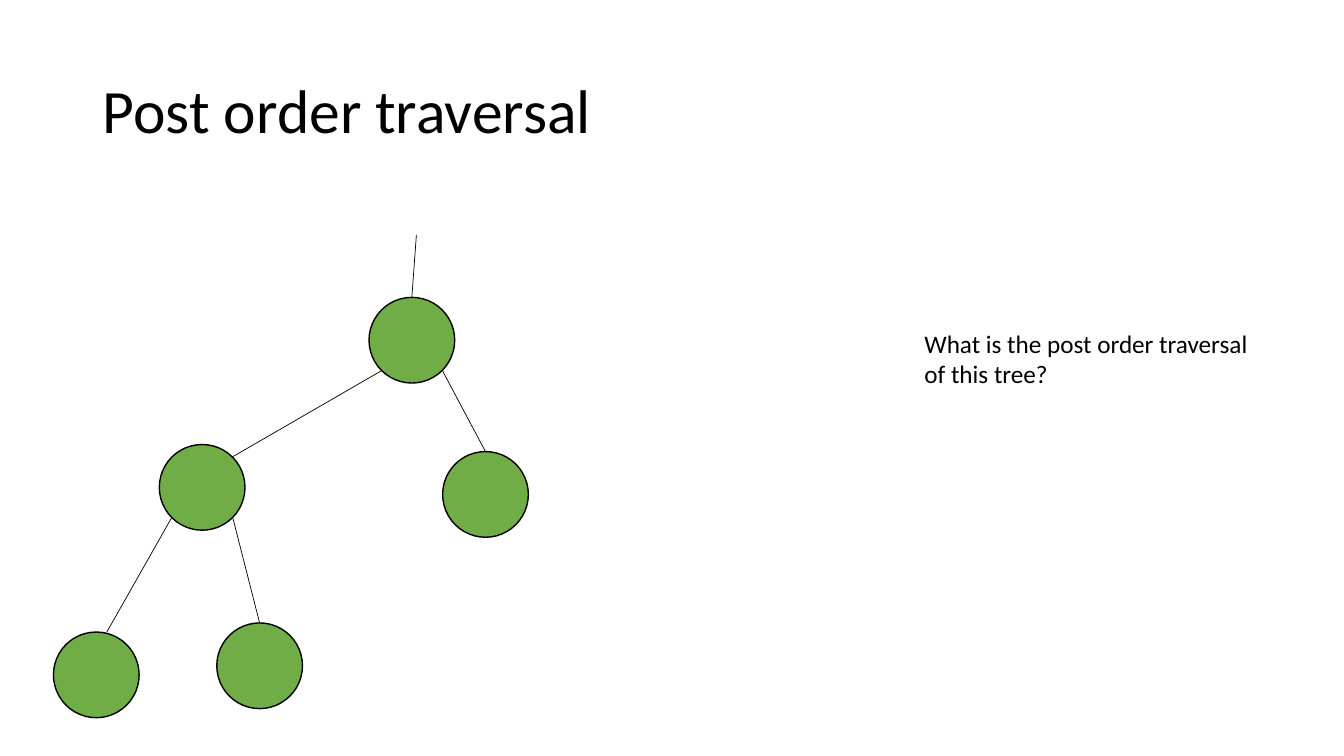
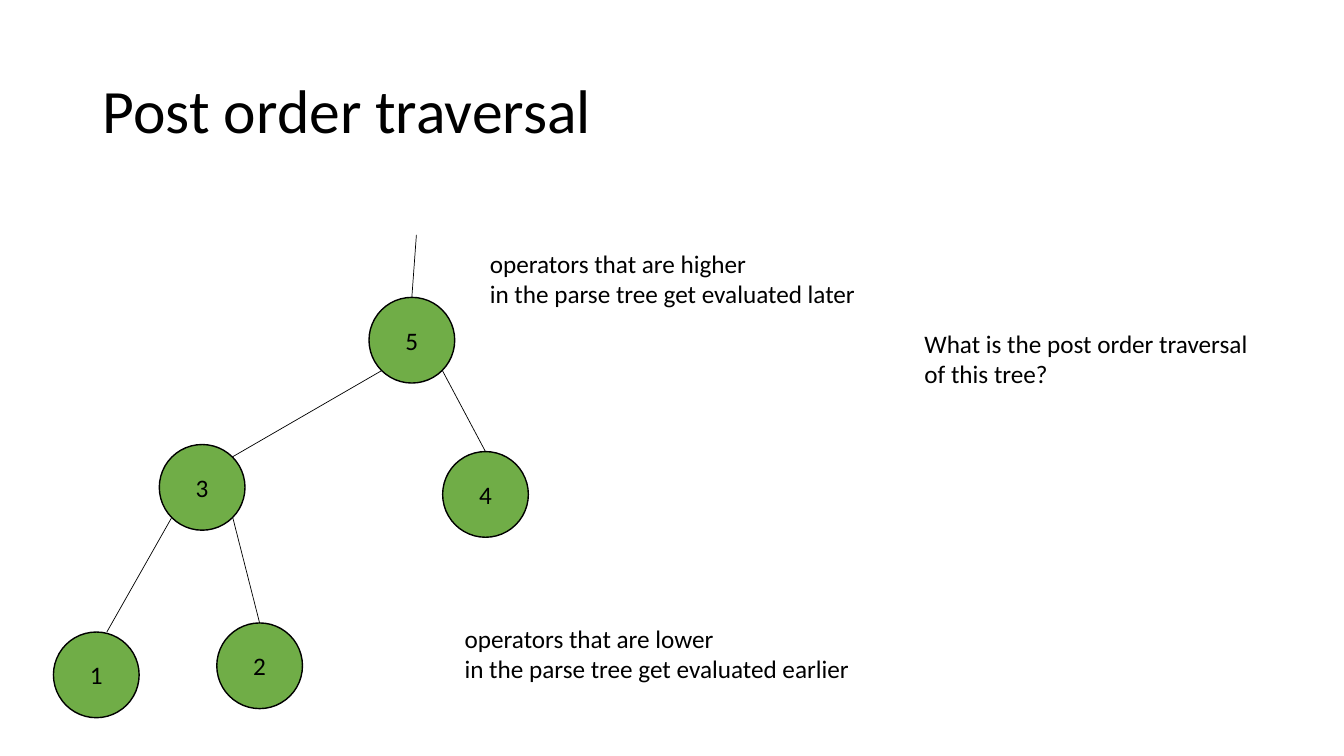
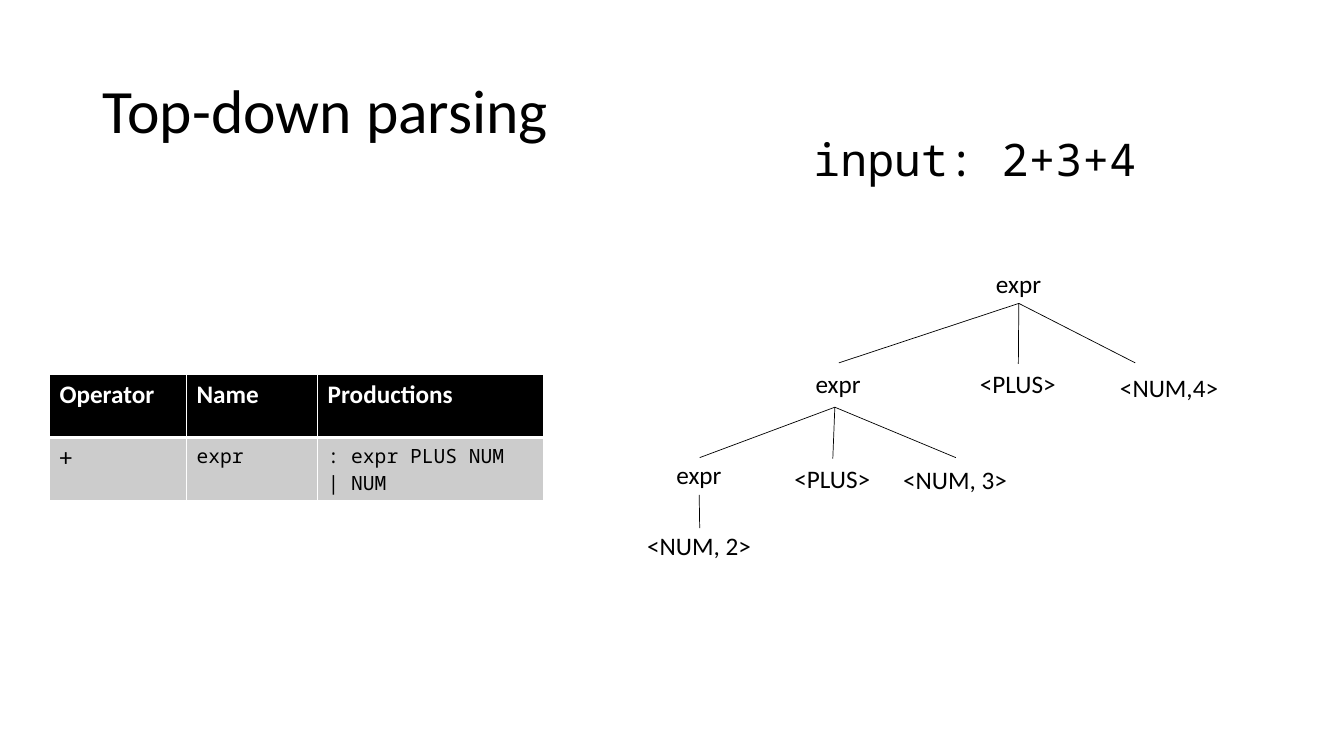
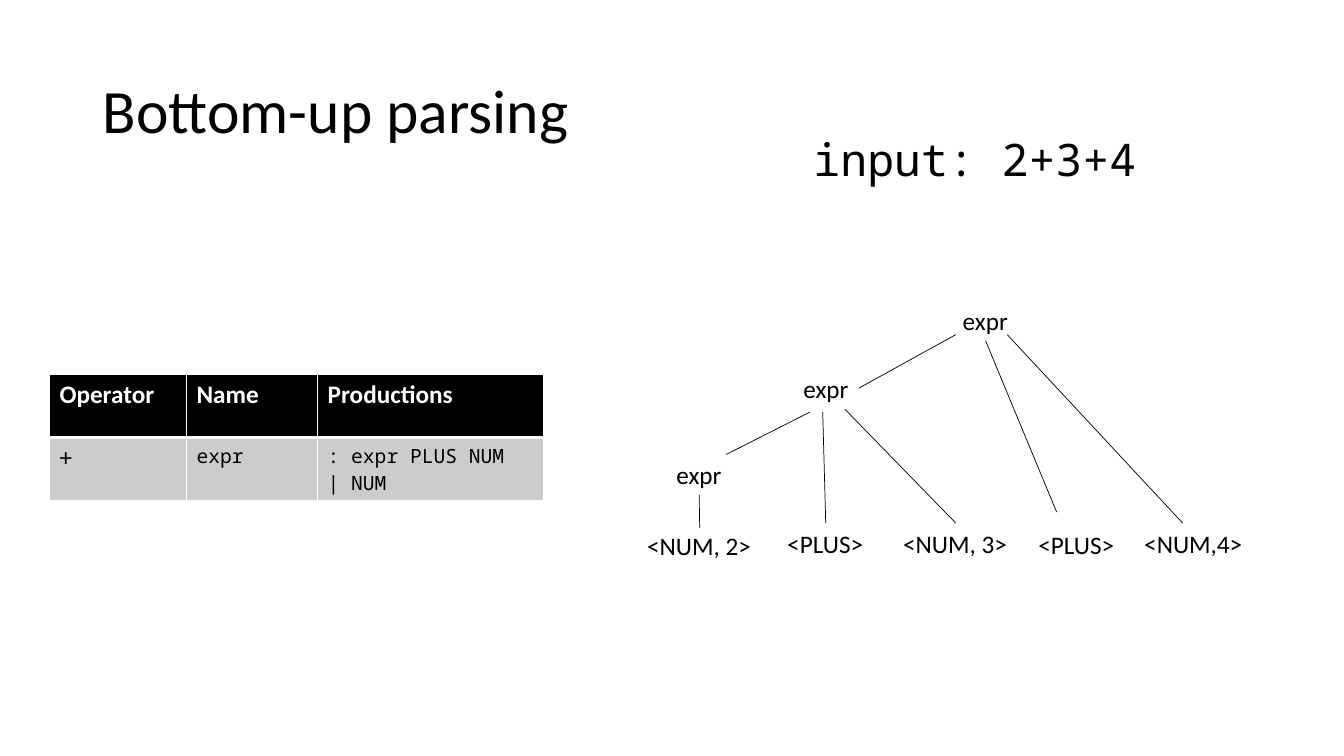
import pptx
import pptx.dml.color
import pptx.enum.shapes
import pptx.enum.text
import pptx.oxml
import pptx.oxml.ns
import pptx.util

SCALE = 9144  # EMU in one px, 100 px to the inch
HUES = {"ink": "000000", "paper": "FFFFFF", "node": "70AD47", "cell": "CCCCCC"}
LOOKS = {
    "title": {"name": "Calibri", "size": pptx.util.Pt(44)},
    "text": {"name": "Calibri", "size": pptx.util.Pt(18)},
    "head": {"name": "Calibri", "size": pptx.util.Pt(18), "bold": True},
    "plain": {"name": "Calibri", "size": pptx.util.Pt(18), "bold": False},
    "code": {"name": "Noto Sans Mono", "size": pptx.util.Pt(14), "bold": False},
    "input": {"name": "Noto Sans Mono", "size": pptx.util.Pt(32)},
}
ALIGN = pptx.enum.text.PP_ALIGN
ANCHOR = pptx.enum.text.MSO_ANCHOR
FIT = pptx.enum.text.MSO_AUTO_SIZE
TOP, LEFT, BOTTOM, RIGHT = range(4)

# Tree of circles: corners of the boxes, in post order
NODE = 85
NODES = {"one": (53, 627), "two": (215, 618), "three": (158, 441),
         "four": (439, 448), "five": (366, 295)}
ASK = "What is the post order traversal\nof this tree?"

# Grammar and the words of the parse trees
WIDTHS = {"expr": 65, "<PLUS>": 96, "<NUM,4>": 119, "<NUM, 3>": 124, "<NUM, 2>": 124}
COLS = [136, 130, 224]
ROWS = [[("Operator", "head"), ("Name", "head"), ("Productions", "head")],
        [("+", "plain"), ("expr", "code"), (": expr PLUS NUM\n| NUM", "code")]]
STEM = (("low", BOTTOM), (694, 524))


def px(*vals):
    return [pptx.util.Emu(val * SCALE) for val in vals]


def rgb(hue):
    return pptx.dml.color.RGBColor.from_string(HUES[hue])


class Deck:
    def __init__(self):
        self.show = pptx.Presentation()
        self.show.slide_width, self.show.slide_height = px(1333, 750)

    def style(self, frame, look, hue="ink", **pars):
        for par in frame.paragraphs:
            for key, val in pars.items():
                setattr(par, key, val)
            for key, val in LOOKS[look].items():
                setattr(par.font, key, val)
            par.font.color.rgb = rgb(hue)

    def start(self, title):
        self.slide = self.show.slides.add_slide(self.show.slide_layouts[5])
        self.named = {}
        head = self.slide.shapes.title
        head.left, head.top, head.width, head.height = px(92, 40, 1150, 145)
        frame = head.text_frame
        frame.text = title
        for key, val in {"vertical_anchor": ANCHOR.MIDDLE, "auto_size": FIT.NONE}.items():
            setattr(frame, key, val)
        self.style(frame, "title", alignment=ALIGN.LEFT, line_spacing=0.9)

    def text(self, words, x, y, wide, high, look="text"):
        box = self.slide.shapes.add_textbox(*px(x, y, wide, high))
        frame = box.text_frame
        frame.text = words
        for key, val in {"word_wrap": False, "auto_size": FIT.SHAPE_TO_FIT_TEXT}.items():
            setattr(frame, key, val)
        self.style(frame, look)
        return box

    def node(self, name, x, y, label):
        kind = pptx.enum.shapes.MSO_SHAPE.OVAL
        ball = self.slide.shapes.add_shape(kind, *px(x, y, NODE, NODE))
        ball.shadow.inherit = False
        ball.fill.solid()
        ball.fill.fore_color.rgb = rgb("node")
        ball.line.color.rgb = rgb("ink")
        ball.line.width = pptx.util.Pt(1)
        if label:
            ball.text_frame.text = label
            ball.text_frame.vertical_anchor = ANCHOR.MIDDLE
            self.style(ball.text_frame, "text", alignment=ALIGN.CENTER)
        self.named[name] = ball

    def line(self, start, end):
        """Each end is a point, or a shape's name and its side."""
        kind = pptx.enum.shapes.MSO_CONNECTOR.STRAIGHT
        spots = [(0, 0) if isinstance(tip[0], str) else tip for tip in (start, end)]
        link = self.slide.shapes.add_connector(kind, *px(*spots[0], *spots[1]))
        for tip, join in ((start, link.begin_connect), (end, link.end_connect)):
            if isinstance(tip[0], str):
                join(self.named[tip[0]], tip[1])
        link.line.color.rgb = rgb("ink")
        link.line.width = pptx.util.Pt(0.5)
        link._element.spPr.append(pptx.oxml.parse_xml(
            f'<a:effectLst {pptx.oxml.ns.nsdecls("a")}/>'))

    def edge(self, cell, side, width):
        cell._tc.get_or_add_tcPr().append(pptx.oxml.parse_xml(
            f'<a:ln{side} {pptx.oxml.ns.nsdecls("a")} w="{pptx.util.Pt(width)}">'
            f'<a:solidFill><a:srgbClr val="{HUES["paper"]}"/></a:solidFill></a:ln{side}>'))

    def table(self, x, y, high):
        size = px(x, y, sum(COLS), high * len(ROWS))
        grid = self.slide.shapes.add_table(len(ROWS), len(COLS), *size).table
        for col, wide in zip(grid.columns, px(*COLS)):
            col.width = wide
        for r, row in enumerate(ROWS):
            grid.rows[r].height = px(high)[0]
            back, ink = ("cell", "ink") if r else ("ink", "paper")
            thick = "T" if r else "B"  # the rule below the header
            for c, (words, look) in enumerate(row):
                cell = grid.cell(r, c)
                for side in "LRTB":
                    self.edge(cell, side, 3 if side == thick else 1)
                cell.fill.solid()
                cell.fill.fore_color.rgb = rgb(back)
                cell.text_frame.text = words
                self.style(cell.text_frame, look, ink)

    # Whole slide bodies
    def order(self, labels):
        self.start("Post order traversal")
        for (name, spot), label in zip(NODES.items(), labels):
            self.node(name, *spot, label)

        def rim(name, right, low):
            x, y = NODES[name]
            return x + (73 if right else 12), y + (73 if low else 12)

        self.line((413, 233), ("five", TOP))
        self.line(rim("five", False, True), rim("three", True, False))
        self.line(rim("five", True, True), ("four", TOP))
        self.line(rim("three", False, True), (106, 627))
        self.line(rim("three", True, True), ("two", TOP))
        self.text(ASK, 907, 321, 344, 71)

    def parsing(self, title, words, links):
        self.start(title)
        self.text("input: 2+3+4", 797, 126, 344, 64, "input")
        self.table(49, 371, 63)
        for name, (word, x, y) in words.items():
            self.named[name] = self.text(word, x, y, WIDTHS[word], 40)
        for link in links:
            self.line(*link)


def main():
    deck = Deck()

    # Tree without and with its numbers
    deck.order([""] * len(NODES))
    deck.order("12345")
    deck.text("operators that are lower\nin the parse tree get evaluated earlier",
              451, 613, 406, 71)
    deck.text("operators that are higher\nin the parse tree get evaluated later",
              476, 241, 387, 71)

    # Top-down tree
    fork = (828, 404)
    deck.parsing("Top-down parsing", {
        "root": ("expr", 978, 261), "mid": ("expr", 799, 360), "low": ("expr", 661, 451),
        "plus": ("<PLUS>", 962, 361), "four": ("<NUM,4>", 1101, 364),
        "add": ("<PLUS>", 778, 455), "three": ("<NUM, 3>", 886, 456),
        "two": ("<NUM, 2>", 632, 521),
    }, [
        (("root", BOTTOM), (832, 360)), (("root", BOTTOM), ("plus", TOP)),
        (("root", BOTTOM), (1126, 360)), (fork, (694, 454)),
        (fork, ("add", TOP)), (fork, (948, 454)), STEM,
    ])

    # Bottom-up tree
    deck.parsing("Bottom-up parsing", {
        "root": ("expr", 945, 298), "mid": ("expr", 787, 365), "low": ("expr", 661, 451),
        "two": ("<NUM, 2>", 632, 521), "add": ("<PLUS>", 771, 519),
        "three": ("<NUM, 3>", 886, 519), "plus": ("<PLUS>", 1020, 520),
        "four": ("<NUM,4>", 1125, 519),
    }, [
        ((948, 332), ("mid", RIGHT)), (("root", BOTTOM), (1048, 508)),
        ((999, 332), (1173, 519)), ((803, 409), (720, 451)),
        ((816, 409), ("add", TOP)), ((838, 406), ("three", TOP)), STEM,
    ])
    deck.show.save("out.pptx")


if __name__ == "__main__":
    main()
